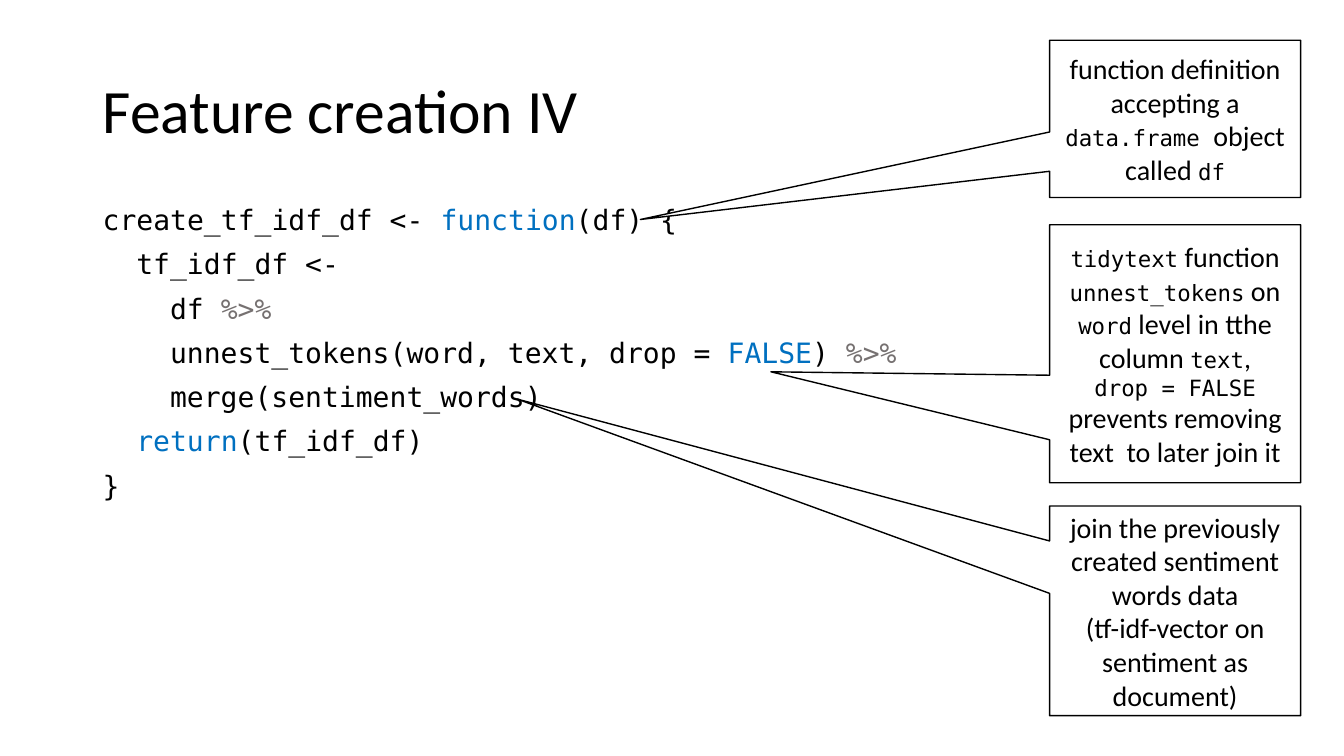
from dataclasses import dataclass
from pptx import Presentation
from pptx.dml.color import RGBColor as RGB
from pptx.enum.shapes import MSO_SHAPE as Shape
from pptx.enum.text import MSO_ANCHOR as Anchor, PP_ALIGN as Align
from pptx.util import Inches, Pt


@dataclass(frozen=True)
class Theme:
    """Colours, fonts and type sizes of the slide."""
    ink: str = "000000"
    paper: str = "FFFFFF"
    blue: str = "0070C0"
    grey: str = "767171"
    sans: str = "Calibri"
    mono: str = "DejaVu Sans Mono"
    head: int = 44
    text: int = 20
    small: int = 16
    step: float = 12.04

    def font(self, kind):
        """Give the format values and colour of a kind of run."""
        name, size, tint = {
            "head": (self.sans, self.head, self.ink),
            "text": (self.sans, self.text, self.ink),
            "term": (self.mono, self.small, self.ink),
            "code": (self.mono, self.text, self.ink),
            "key": (self.mono, self.text, self.blue),
            "pipe": (self.mono, self.text, self.grey),
        }[kind]
        return {"name": name, "size": Pt(size)}, RGB.from_string(tint)


def apply(item, form):
    """Set each format value on the item."""
    for name, value in form.items():
        setattr(item, name, value)


class Deck:
    """Holds the theme and the current slide."""

    def __init__(self, theme):
        """Open a deck with one blank slide."""
        self.theme = theme
        self.prs = Presentation()
        apply(self.prs, {"slide_width": Inches(13.33), "slide_height": Inches(7.5)})
        self.slide = self.prs.slides.add_slide(self.prs.slide_layouts[6])

    def fill(self, shape, paras, anchor, form):
        """Fill a shape with paragraphs of (kind, text) runs."""
        frame = shape.text_frame
        apply(frame, {"word_wrap": True, "vertical_anchor": anchor})
        for i, runs in enumerate(paras):
            para = frame.add_paragraph() if i else frame.paragraphs[0]
            apply(para, form)
            for kind, text in runs:
                run = para.add_run()
                run.text = text
                values, tint = self.theme.font(kind)
                apply(run.font, values)
                run.font.color.rgb = tint
        return frame

    def title(self, text, box):
        """Add the slide title."""
        shape = self.slide.shapes.add_textbox(*map(Inches, box))
        self.fill(shape, [[("head", text)]], Anchor.MIDDLE, {"line_spacing": 0.9})

    def code(self, lines, box):
        """Add a code listing of (indent, runs) lines."""
        shape = self.slide.shapes.add_textbox(*map(Inches, box))
        form = {"line_spacing": 0.9, "space_before": Pt(10)}
        frame = self.fill(shape, [runs for _, runs in lines], Anchor.TOP, form)
        for para, (depth, _) in zip(frame.paragraphs, lines):
            left = Pt(depth * self.theme.step)
            para._p.get_or_add_pPr().set("marL", str(int(left)))

    def note(self, paras, box, tip):
        """Add a callout whose tail ends at the tip."""
        shape = self.slide.shapes.add_shape(Shape.RECTANGULAR_CALLOUT, *map(Inches, box))
        for i, value in enumerate(tip):
            shape.adjustments[i] = value
        shape.shadow.inherit = False
        shape.fill.solid()
        shape.fill.fore_color.rgb = RGB.from_string(self.theme.paper)
        shape.line.width = Pt(1)
        shape.line.color.rgb = RGB.from_string(self.theme.ink)
        self.fill(shape, paras, Anchor.MIDDLE, {"alignment": Align.CENTER})


CODE = [
    (0, [("code", "create_tf_idf_df <- "), ("key", "function"), ("code", "(df) {")]),
    (2, [("code", "tf_idf_df <-")]),
    (4, [("code", "df "), ("pipe", "%>%")]),
    (4, [("code", "unnest_tokens(word, text, drop = "), ("key", "FALSE"),
         ("code", ") "), ("pipe", "%>%")]),
    (4, [("code", "merge(sentiment_words)")]),
    (2, [("key", "return"), ("code", "(tf_idf_df)")]),
    (0, [("code", "}")]),
]

NOTES = [
    (0.4, 1.56, (-2.13, 0.64), [
        [("text", "function definition accepting a "), ("term", "data.frame "),
         ("text", "object called "), ("term", "df")],
    ]),
    (2.23, 2.56, (-1.61, 0.07), [
        [("term", "tidytext"), ("text", " function "), ("term", "unnest_tokens"),
         ("text", " on "), ("term", "word"), ("text", " level in tthe column "),
         ("term", "text"), ("text", ",")],
        [("term", "drop = FALSE "), ("text", "prevents removing text  to later join it")],
    ]),
    (5.02, 2.08, (-2.62, -1.01), [
        [("text", "join the previously created sentiment words data")],
        [("text", "(tf-idf-vector on sentiment as document)")],
    ]),
]


def main():
    """Build and save the slide."""
    deck = Deck(Theme())
    deck.code(CODE, (0.92, 2, 11.5, 5.34))
    deck.title("Feature creation IV", (0.92, 0.4, 11.5, 1.45))
    for top, high, tip, paras in NOTES:
        deck.note(paras, (10.41, top, 2.49, high), tip)
    deck.prs.save("out.pptx")


if __name__ == "__main__":
    main()
